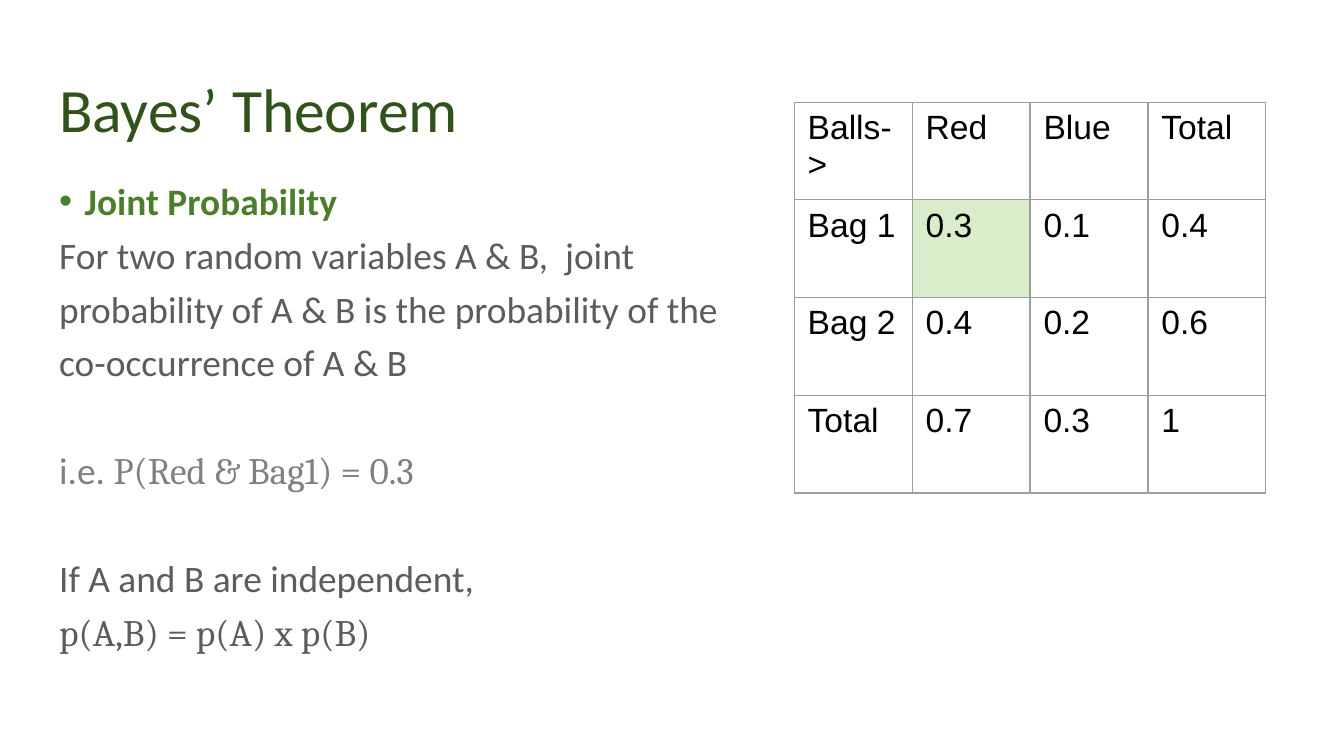
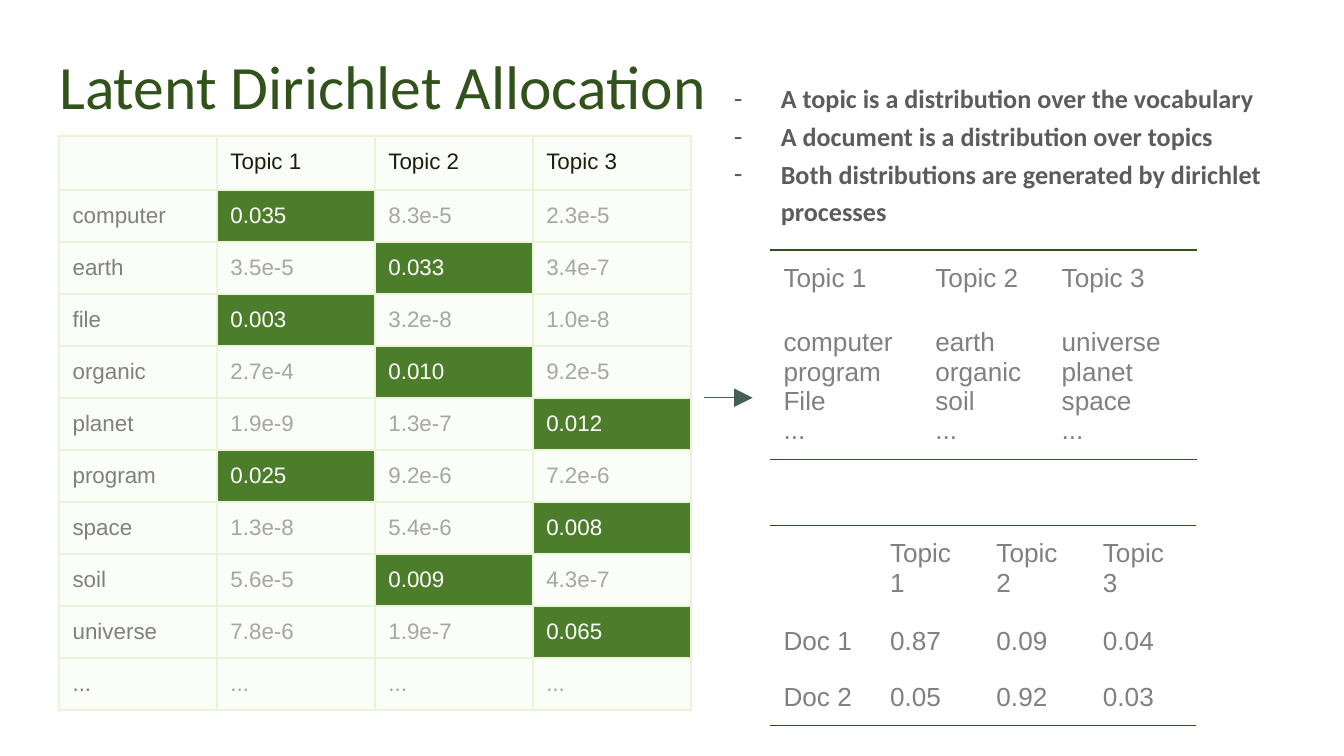
from lxml import etree
from pptx import Presentation
from pptx import util as u
from pptx.dml import color as dml
from pptx.enum import shapes, text
from pptx.oxml import ns

DARK_GREEN = "31521B"
GREEN = "4C7D2A"
BODY_GREY = "5C5C5C"
GREY = "808080"
LIGHT_GREY = "A6A6A6"
PALE = "FBFDF8"
NO_GRID_STYLE = "{2D5ABB26-0587-4C30-8999-92F81FD0307C}"
SIDES = ("lnL", "lnR", "lnT", "lnB")
rgb = dml.RGBColor.from_string


def write_text(paragraph, content, font="Arial", size=18, color="000000", bold=False):
    if not content:
        end = etree.SubElement(paragraph._p, ns.qn("a:endParaRPr"))
        end.set("sz", str(size * 100))
        return
    run = paragraph.add_run()
    run.text = content
    run.font.name = font
    run.font.size = u.Pt(size)
    run.font.bold = bold
    run.font.color.rgb = rgb(color)


def add_table(slide, left, top, widths, heights, rows, size, inset, style, border, ruled=False):
    frame = slide.shapes.add_table(
        len(rows), len(widths), u.Inches(left), u.Inches(top),
        u.Inches(sum(widths)), u.Inches(sum(heights)))
    table = frame.table
    table.first_row = table.horz_banding = False
    table._tbl.tblPr.find(ns.qn("a:tableStyleId")).text = NO_GRID_STYLE
    for column, width in zip(table.columns, widths):
        column.width = u.Inches(width)
    for row, height in zip(table.rows, heights):
        row.height = u.Inches(height)
    for r, values in enumerate(rows):
        for c, value in enumerate(values):
            cell = table.cell(r, c)
            cell.margin_left = cell.margin_right = u.Inches(0.1)
            cell.margin_top = cell.margin_bottom = u.Inches(inset)
            color, fill = style(r, c, value)
            if fill:
                cell.fill.solid()
                cell.fill.fore_color.rgb = rgb(fill)
            else:
                cell.fill.background()
            for i, line in enumerate(value.split("\n")):
                paragraph = cell.text_frame.paragraphs[0] if i == 0 else cell.text_frame.add_paragraph()
                write_text(paragraph, line, size=size, color=color)
            drawn = SIDES
            if ruled:
                drawn = [side for side, edge in (("lnT", 0), ("lnB", len(rows) - 1)) if r == edge]
            properties = cell._tc.get_or_add_tcPr()
            for i, side in enumerate(drawn):
                line = etree.Element(ns.qn(f"a:{side}"), w=str(u.Pt(border[1])))
                solid = etree.SubElement(line, ns.qn("a:solidFill"))
                etree.SubElement(solid, ns.qn("a:srgbClr"), val=border[0])
                properties.insert(i, line)


presentation = Presentation()
presentation.slide_width = u.Inches(10)
presentation.slide_height = u.Inches(10 * 9 / 16)

plain = dict(font="Calibri", size=20, color=BODY_GREY)
formula = dict(plain, font="Cambria")
point = dict(font="Calibri", size=14, color=BODY_GREY, bold=True)
flush = dict(spacing=1.2, margin=0, hang=0, bullet=None, before=0)
heading = dict(spacing=0.9, margin=0.19, hang=0.19, bullet="•", before=0)
dashed = dict(spacing=1.2, margin=0.5, hang=0.35, bullet="-", before=0)
after_gap = dict(flush, before=29)

pages = [
    ("Bayes’ Theorem", 0.49, (0.34, 1.26, 5.19, 3.74), [
        (heading, [("Joint Probability", dict(plain, color=GREEN, bold=True))]),
        (flush, [("For two random variables A & B,  joint probability of A & B "
                  "is the probability of the co-occurrence of A & B", plain)]),
        (after_gap, [("i.e. ", dict(plain, color=GREY)),
                     ("P(Red & Bag1) = 0.3", dict(formula, color=GREY))]),
        (after_gap, [("If A and B are independent,", plain)]),
        (flush, [("p(A,B) = p(A) x p(B)", formula)]),
    ]),
    ("Latent Dirichlet Allocation", 0.32, (5.21, 0.47, 4.79, 1.38), [
        (dashed, [("A topic is a distribution over the vocabulary", point)]),
        (dashed, [("A document is a distribution over topics", point)]),
        (dashed, [("Both distributions are generated by dirichlet processes", point)]),
    ]),
]

for title_text, title_top, body_box, body_lines in pages:
    slide = presentation.slides.add_slide(presentation.slide_layouts[1])
    title, body = slide.placeholders
    for shape, box in ((title, (0.34, title_top, 9.32, 0.63)), (body, body_box)):
        shape.left, shape.top, shape.width, shape.height = map(u.Inches, box)
        frame = shape.text_frame
        frame.margin_left = frame.margin_right = u.Inches(0.1)
        frame.margin_top = frame.margin_bottom = u.Inches(0.1)
        frame.word_wrap = True
        frame.auto_size = text.MSO_AUTO_SIZE.NONE
        frame.vertical_anchor = text.MSO_ANCHOR.TOP
    paragraph = title.text_frame.paragraphs[0]
    paragraph.alignment = text.PP_ALIGN.LEFT
    paragraph.line_spacing = 0.9
    write_text(paragraph, title_text, font="Calibri", size=33, color=DARK_GREEN)
    for i, (layout, runs) in enumerate(body_lines):
        paragraph = body.text_frame.paragraphs[0] if i == 0 else body.text_frame.add_paragraph()
        paragraph.line_spacing = layout["spacing"]
        paragraph.space_before = u.Pt(layout["before"])
        paragraph.space_after = u.Pt(0)
        properties = paragraph._p.get_or_add_pPr()
        properties.set("marL", str(u.Inches(layout["margin"])))
        properties.set("indent", str(-u.Inches(layout["hang"])))
        if layout["bullet"]:
            etree.SubElement(properties, ns.qn("a:buFont"), typeface="Arial")
            etree.SubElement(properties, ns.qn("a:buChar"), char=layout["bullet"])
        else:
            etree.SubElement(properties, ns.qn("a:buNone"))
        for content, run_format in runs:
            write_text(paragraph, content, **run_format)

bayes_slide, lda_slide = presentation.slides

bag_rows = [
    ("Balls->", "Red", "Blue", "Total"),
    ("Bag 1", "0.3", "0.1", "0.4"),
    ("Bag 2", "0.4", "0.2", "0.6"),
    ("Total", "0.7", "0.3", "1"),
]
add_table(bayes_slide, 5.91, 0.76, [3.51 / 4] * 4, [2.91 / 4] * 4, bag_rows, 18, 0.05,
          lambda r, c, value: ("000000", "D9EDCB" if (r, c) == (1, 1) else None),
          ("9E9E9E", 0.75))

topics = ("Topic 1", "Topic 2", "Topic 3")
top_words = [
    topics,
    ("computer\nprogram\nFile\n...", "earth\norganic\nsoil\n...", "universe\nplanet\nspace\n..."),
]
document_rows = [
    ("", *topics),
    ("Doc 1", "0.87", "0.09", "0.04"),
    ("Doc 2", "0.05", "0.92", "0.03"),
]
for top, widths, heights, rows in (
    (1.86, [1.13, 0.94, 1.11], [0.48, 1.08], top_words),
    (3.91, [3.17 / 4] * 4, [0.65, 0.42, 0.42], document_rows),
):
    add_table(lda_slide, 5.73, top, widths, heights, rows, 14, 0.1,
              lambda r, c, value: (GREY, None), (DARK_GREEN, 1), ruled=True)

word_rows = [
    ("", *topics),
    ("computer", "0.035", "8.3e-5", "2.3e-5"),
    ("earth", "3.5e-5", "0.033", "3.4e-7"),
    ("file", "0.003", "3.2e-8", "1.0e-8"),
    ("organic", "2.7e-4", "0.010", "9.2e-5"),
    ("planet", "1.9e-9", "1.3e-7", "0.012"),
    ("program", "0.025", "9.2e-6", "7.2e-6"),
    ("space", "1.3e-8", "5.4e-6", "0.008"),
    ("soil", "5.6e-5", "0.009", "4.3e-7"),
    ("universe", "7.8e-6", "1.9e-7", "0.065"),
    ("...", "...", "...", "..."),
]


def word_style(r, c, value):
    if r == 0:
        return "182009", PALE
    if c == 0:
        return GREY, PALE
    if value.startswith("0."):
        return "FFFFFF", GREEN
    return LIGHT_GREY, PALE


add_table(lda_slide, 0.44, 1.01, [4.7 / 4] * 4, [0.4] + [3.86 / 10] * 10, word_rows, 12, 0.1,
          word_style, ("EAF4D7", 1))

arrow = lda_slide.shapes.add_connector(
    shapes.MSO_CONNECTOR.STRAIGHT, u.Inches(5.24), u.Inches(2.96), u.Inches(5.6), u.Inches(2.96))
arrow.line.color.rgb = rgb("455F51")
arrow.line.width = u.Pt(0.75)
etree.SubElement(arrow.line._get_or_add_ln(), ns.qn("a:tailEnd"), type="triangle", w="lg", len="lg")
etree.SubElement(arrow._element.spPr, ns.qn("a:effectLst"))

presentation.save("out.pptx")
